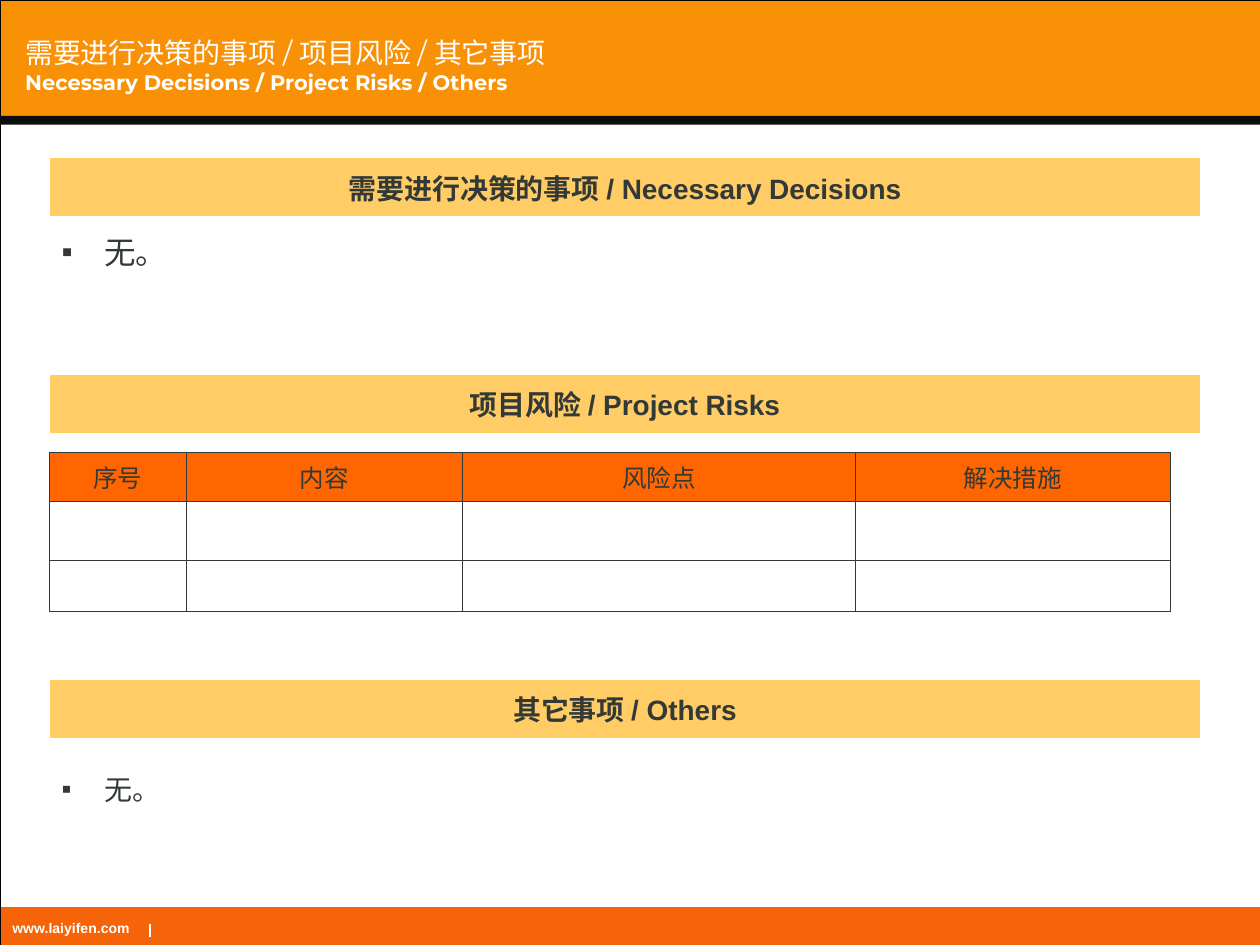
"""Build the decisions, project risks and other matters slide."""
from lxml.etree import SubElement
from pptx import Presentation
from pptx.dml.color import RGBColor
from pptx.enum.shapes import MSO_CONNECTOR, MSO_SHAPE
from pptx.enum.text import MSO_ANCHOR, MSO_AUTO_SIZE, PP_ALIGN
from pptx.oxml.ns import qn
from pptx.util import Inches, Pt

WHITE = RGBColor(0xFF, 0xFF, 0xFF)
BLACK = RGBColor(0x00, 0x00, 0x00)
RULE = RGBColor(0x0D, 0x0D, 0x0D)
INK = RGBColor(0x32, 0x39, 0x37)
HEADER = RGBColor(0xF9, 0x91, 0x07)
FOOTER = RGBColor(0xF6, 0x64, 0x0A)
BAND = RGBColor(0xFF, 0xCC, 0x66)
TABLE_HEAD = RGBColor(0xFF, 0x66, 0x00)
LEFT = 0.39


def add_text(p, text, font="Arial", size=14, color=INK, bold=False, align=PP_ALIGN.LEFT):
    p.alignment = align
    r = p.add_run()
    r.text = text
    r.font.name = font
    r.font.size = Pt(size)
    r.font.bold = bold
    r.font.color.rgb = color


def set_margins(target, x, top, right, bottom):
    target.margin_left, target.margin_top = Inches(x), Inches(top)
    target.margin_right, target.margin_bottom = Inches(right), Inches(bottom)


class SlideBuilder:
    def __init__(self, prs):
        self.s = prs.slides.add_slide(prs.slide_layouts[5])
        self.heading_font = "Montserrat"

    def rect(self, x, y, w, h, fill=None, line=None, weight=0.2):
        sp = self.s.shapes.add_shape(
            MSO_SHAPE.RECTANGLE, Inches(x), Inches(y), Inches(w), Inches(h))
        sp.shadow.inherit = False
        if fill is None:
            sp.fill.background()
        else:
            sp.fill.solid()
            sp.fill.fore_color.rgb = fill
        if line is None:
            sp.line.fill.background()
        else:
            sp.line.color.rgb = line
            sp.line.width = Pt(weight)

    def line(self, x1, y1, x2, y2, color, weight):
        cx = self.s.shapes.add_connector(
            MSO_CONNECTOR.STRAIGHT, Inches(x1), Inches(y1), Inches(x2), Inches(y2))
        cx.line.color.rgb = color
        cx.line.width = Pt(weight)
        SubElement(cx._element.spPr, qn("a:effectLst"))

    def title(self, chinese, english):
        sp = self.s.shapes.title
        self.s.shapes._spTree.append(sp._element)
        sp.left, sp.top = Inches(0), Inches(0.22)
        sp.width, sp.height = Inches(8.13), Inches(0.57)
        tf = sp.text_frame
        tf.word_wrap = True
        tf.auto_size = MSO_AUTO_SIZE.NONE
        tf.vertical_anchor = MSO_ANCHOR.BOTTOM
        set_margins(tf, 0.2, 0.2, 0.04, 0.04)
        p = tf.paragraphs[0]
        p.line_spacing = 1.0
        add_text(p, chinese, font=self.heading_font, size=16, color=WHITE)
        p.add_line_break()
        add_text(p, english, font=self.heading_font, size=12, color=WHITE, bold=True)

    def textbox(self, text, x, y, w, h, bullet=False, spacing=1.0, **fmt):
        sp = self.s.shapes.add_textbox(Inches(x), Inches(y), Inches(w), Inches(h))
        tf = sp.text_frame
        tf.word_wrap = True
        p = tf.paragraphs[0]
        if bullet:
            pPr = p._p.get_or_add_pPr()
            pPr.set("marL", str(Inches(0.34)))
            pPr.set("indent", str(-Inches(0.34)))
            SubElement(pPr, qn("a:buFont"), typeface="Arial")
            SubElement(pPr, qn("a:buChar"), char="▪")
        p.line_spacing = spacing
        add_text(p, text, **fmt)

    def table(self, y, widths, heights, rows, fill, border, weight,
              margin=0.1, space=0, **fmt):
        tbl = self.s.shapes.add_table(
            len(heights), len(widths), Inches(LEFT), Inches(y),
            Inches(sum(widths)), Inches(sum(heights))).table
        tbl.first_row = tbl.horz_banding = False
        for col, w in zip(tbl.columns, widths):
            col.width = Inches(w)
        for i, (row, h, texts) in enumerate(zip(tbl.rows, heights, rows)):
            row.height = Inches(h)
            for cell, text in zip(row.cells, texts):
                self.borders(cell, border, weight)
                if i == 0:
                    cell.fill.solid()
                    cell.fill.fore_color.rgb = fill
                else:
                    cell.fill.background()
                cell.vertical_anchor = MSO_ANCHOR.MIDDLE
                set_margins(cell, margin, 0.05, margin, 0.05)
                p = cell.text_frame.paragraphs[0]
                p.space_after = Pt(space)
                add_text(p, text, align=PP_ALIGN.CENTER, **fmt)

    def borders(self, cell, color, weight):
        tcPr = cell._tc.get_or_add_tcPr()
        for side in ("lnL", "lnR", "lnT", "lnB"):
            ln = SubElement(tcPr, qn(f"a:{side}"), w=str(Pt(weight)))
            fill = SubElement(ln, qn("a:solidFill"))
            SubElement(fill, qn("a:srgbClr"), val=str(color))

    def section(self, text, y):
        self.table(y, [9.14], [0.47], [[text]], BAND, WHITE, 0.75,
                   margin=0.05, space=3, size=16, bold=True)

    def bullet(self, text, y, size):
        self.textbox(text, LEFT, y, 9.06, 0.4, bullet=True,
                     font=self.heading_font, size=size)


def main():
    prs = Presentation()
    prs.slide_width, prs.slide_height = Inches(10), Inches(7.5)
    b = SlideBuilder(prs)

    b.rect(0, 7.2, 10, 0.3, fill=FOOTER)
    b.rect(0, 0, 10, 0.94, fill=HEADER)
    b.line(1.19, 7.33, 1.19, 7.44, WHITE, 1)
    b.rect(0, 0, 10, 7.5, line=BLACK)
    b.rect(0, 0.92, 10, 0.07, fill=RULE)
    b.title("需要进行决策的事项 / 项目风险 / 其它事项",
            "Necessary Decisions / Project Risks / Others")

    b.section("需要进行决策的事项 / Necessary Decisions", 1.25)
    b.bullet("无。", 1.8, 18)
    b.section("项目风险 / Project Risks", 2.97)
    b.section("其它事项 / Others", 5.39)
    b.bullet("无。", 6.08, 16)
    b.textbox("www.laiyifen.com", 0, 7.22, 6.57, 0.28, spacing=1.2,
              size=8, color=WHITE, bold=True)

    heads = ["序号", "内容", "风险点", "解决措施"]
    blank = [""] * len(heads)
    b.table(3.59, [1.09, 2.19, 3.12, 2.5], [0.39, 0.47, 0.39],
            [heads, blank, blank], TABLE_HEAD, INK, 0.45)

    prs.save("out.pptx")


if __name__ == "__main__":
    main()
